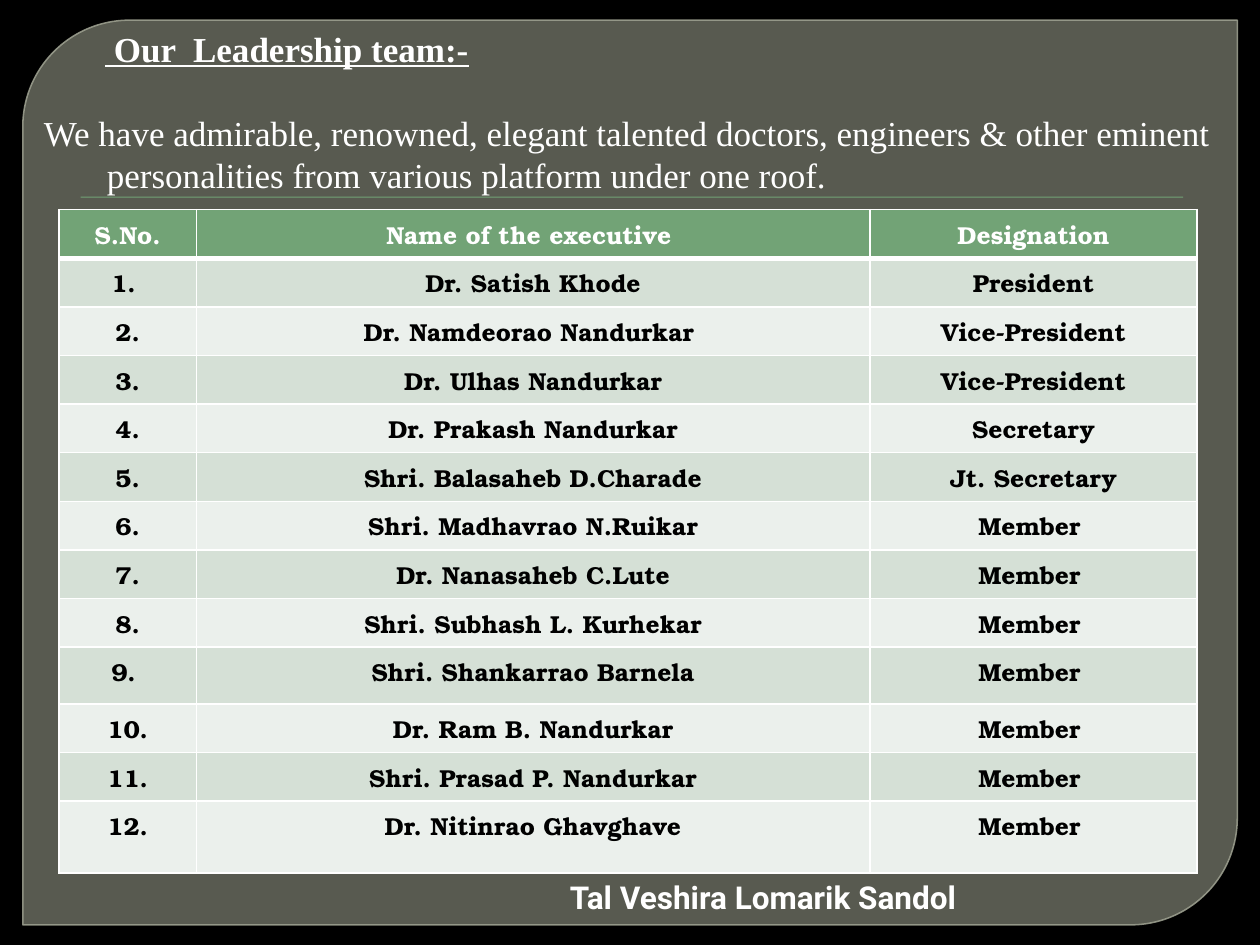
from dataclasses import dataclass

from lxml import etree
from pptx import Presentation
from pptx import util as u
from pptx.dml.color import RGBColor
from pptx.enum import shapes, text
from pptx.oxml import ns

Pt = u.Pt
WHITE, BLACK, GREEN = "FFFFFF", "000000", "72A376"
BANDS = ("D5E0D6", "EBF0EC")
HEADER = ("S.No.", "Name of the executive ", "Designation")
COL_WIDTHS = (78.4, 385, 187)
ROW_HEIGHT = 27.8
TALL_ROWS = {9: 32.4, 12: 41}


@dataclass
class Executive:
    """One row of the leadership table."""
    number: str
    name: str
    designation: str = "Member "


EXECUTIVES = [
    Executive("1. ", "Dr. Satish Khode", "President"),
    Executive("2.", "Dr. Namdeorao Nandurkar ", "Vice-President"),
    Executive("3.", "Dr. Ulhas Nandurkar", "Vice-President"),
    Executive("4.", "Dr. Prakash Nandurkar", "Secretary"),
    Executive("5.", "Shri. Balasaheb D.Charade", "Jt. Secretary"),
    Executive("6.", "Shri. Madhavrao N.Ruikar"),
    Executive("7.", "Dr. Nanasaheb C.Lute"),
    Executive("8.", "Shri. Subhash L. Kurhekar"),
    Executive("9. ", "Shri. Shankarrao Barnela"),
    Executive("10.", "Dr. Ram B. Nandurkar"),
    Executive("11.", "Shri. Prasad P. Nandurkar"),
    Executive("12.", "Dr. Nitinrao Ghavghave"),
]


def paint(fmt, color: str, alpha: int = 100) -> None:
    """Give a fill a solid colour with an opacity in percent."""
    fmt.solid()
    fmt.fore_color.rgb = RGBColor.from_string(color)
    if alpha < 100:
        clr = fmt._xPr.find(ns.qn("a:solidFill"))[0]
        etree.SubElement(clr, ns.qn("a:alpha"), val=str(alpha * 1000))


def add_panel(s, kind, box: tuple, color: str, alpha: int = 100):
    """Add a filled shape without shadow or outline."""
    sp = s.shapes.add_shape(kind, *map(Pt, box))
    sp.shadow.inherit = False
    paint(sp.fill, color, alpha)
    sp.line.fill.background()
    return sp


def add_text(s, box: tuple, lines: list[str]):
    """Add a wrapping text box with one paragraph for each line."""
    tf = s.shapes.add_textbox(*map(Pt, box)).text_frame
    tf.word_wrap = True
    tf.text = "\n".join(lines)
    return tf


def style(p, font: str, size: float, color: str, bold: bool = True,
          align=text.PP_ALIGN.LEFT) -> None:
    """Format a paragraph and its runs."""
    p.alignment = align
    for r in p.runs:
        r.font.name, r.font.size, r.font.bold = font, Pt(size), bold
        r.font.color.rgb = RGBColor.from_string(color)


def indent(p, left: float, first: float = 0) -> None:
    """Set the left margin and first-line indent of a paragraph."""
    pPr = p._p.get_or_add_pPr()
    pPr.set("marL", str(int(Pt(left))))
    pPr.set("indent", str(int(Pt(first))))


def border(cell, side: str, width: float) -> None:
    """Draw one white cell border."""
    ln = etree.SubElement(cell._tc.get_or_add_tcPr(), ns.qn(f"a:ln{side}"),
                          w=str(int(Pt(width))))
    fill = etree.SubElement(ln, ns.qn("a:solidFill"))
    etree.SubElement(fill, ns.qn("a:srgbClr"), val=WHITE)


def add_leadership_table(s) -> None:
    """Add the banded table of executives."""
    rows = [HEADER] + [(e.number, e.name, e.designation) for e in EXECUTIVES]
    heights = [TALL_ROWS.get(i, ROW_HEIGHT) for i in range(len(rows))]
    table = s.shapes.add_table(len(rows), len(HEADER), Pt(33.8), Pt(119.8),
                               Pt(sum(COL_WIDTHS)), Pt(sum(heights))).table
    for column, width in zip(table.columns, COL_WIDTHS):
        column.width = Pt(width)
    for i, values in enumerate(rows):
        table.rows[i].height = Pt(heights[i])
        for j, value in enumerate(values):
            cell = table.cell(i, j)
            cell.text = value
            style(cell.text_frame.paragraphs[0], "TeX Gyre Bonum", 14,
                  BLACK if i else WHITE, align=text.PP_ALIGN.CENTER)
            for side in "LRTB":
                under_header = (i, side) in ((0, "B"), (1, "T"))
                border(cell, side, 3 if under_header else 1)
            paint(cell.fill, BANDS[(i - 1) % 2] if i else GREEN)


def add_intro(s) -> None:
    """Add the heading and the introductory sentence."""
    tf = add_text(s, (18, 12.2, 684, 100), [
        " Our  Leadership team:-",
        "We have admirable, renowned, elegant talented doctors, engineers "
        "& other eminent personalities from various platform under one roof."])
    heading, sentence = tf.paragraphs
    style(heading, "Times New Roman", 20, WHITE)
    heading.runs[0].font.underline = True
    heading.space_after = Pt(24)
    indent(heading, 35)
    style(sentence, "Times New Roman", 20, WHITE, bold=False)
    indent(sentence, 36, -36)
    for p in tf.paragraphs:
        p.line_spacing = Pt(24)


def main() -> None:
    """Build and save the slide."""
    prs = Presentation()
    prs.slide_width, prs.slide_height = Pt(720), Pt(540)
    s = prs.slides.add_slide(prs.slide_layouts[6])
    paint(s.background.fill, BLACK)

    frame = add_panel(s, shapes.MSO_SHAPE.ROUND_2_DIAG_RECTANGLE,
                      (13, 11.5, 694, 517), "888B7B", 65)
    frame.adjustments[0], frame.adjustments[1] = 0.118, 0
    paint(frame.line.fill, "9DA090", 88)
    frame.line.width = Pt(0.87)
    add_panel(s, shapes.MSO_SHAPE.RECTANGLE, (46.1, 112.3, 630, 0.7), GREEN)

    add_intro(s)
    footer = add_text(s, (253, 498.2, 305, 29), ["Tal Veshira Lomarik Sandol "])
    style(footer.paragraphs[0], "Roboto", 18, WHITE, align=text.PP_ALIGN.RIGHT)
    add_leadership_table(s)
    prs.save("out.pptx")


main()
